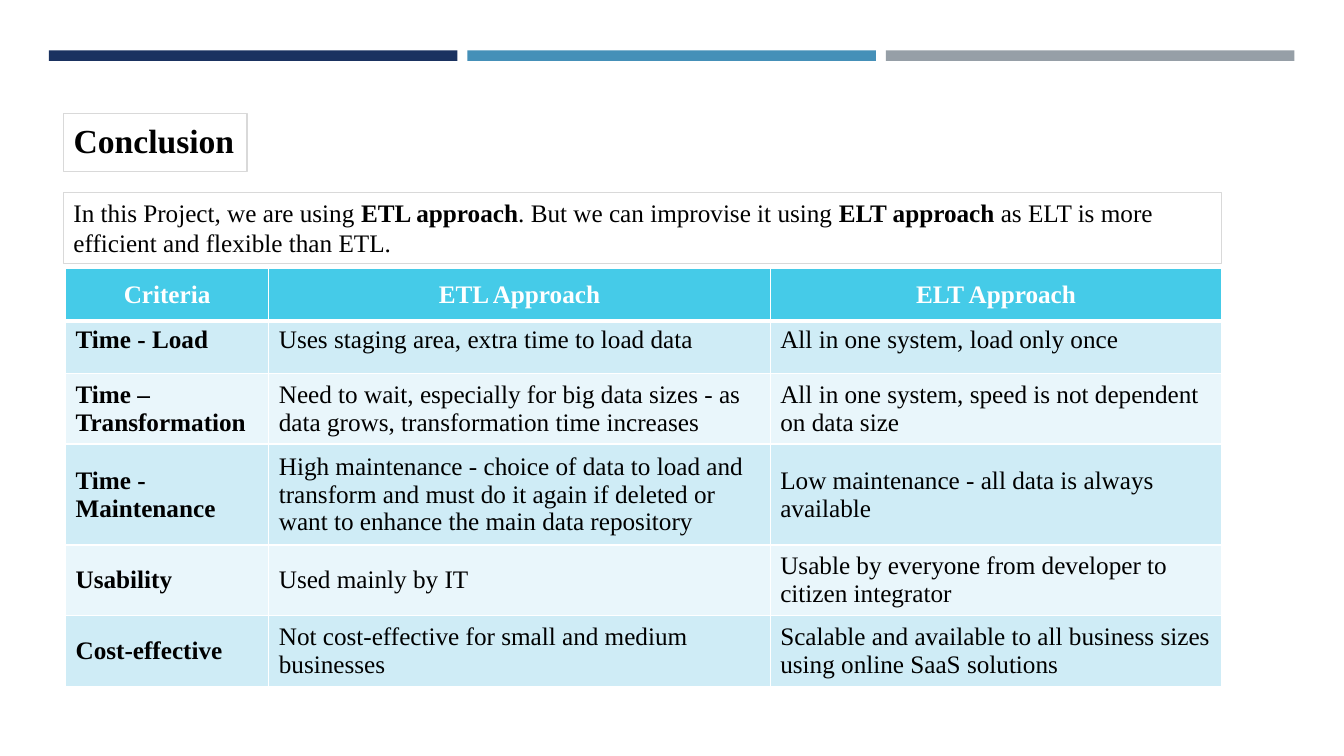
from lxml.etree import SubElement
from pptx import Presentation
from pptx.dml.color import RGBColor
from pptx.enum.shapes import MSO_SHAPE as Preset
from pptx.enum.text import MSO_ANCHOR as Anchor, MSO_AUTO_SIZE as AutoSize, PP_ALIGN as Align
from pptx.oxml.ns import qn
from pptx.util import Pt

COLORS = {
    "navy": "1A3260",
    "blue": "4590B8",
    "gray": "969FA7",
    "outline": "D9D9D9",
    "header": "45CBE8",
    "band_dark": "CFECF6",
    "band_light": "E9F6FB",
    "white": "FFFFFF",
    "black": "000000",
}
FONT = "Times New Roman"
INTRO = (
    "In this Project, we are using **ETL approach**. But we can improvise it using "
    "**ELT approach **as ELT is more efficient and flexible than ETL."
)
ROWS = [
    ("Criteria", "ETL Approach", "ELT Approach"),
    ("Time - Load", "Uses staging area, extra time to load data", "All in one system, load only once"),
    (
        "Time – Transformation",
        "Need to wait, especially for big data sizes - as data grows, transformation time increases",
        "All in one system, speed is not dependent on data size",
    ),
    (
        "Time - Maintenance",
        "High maintenance - choice of data to load and transform and must do it again "
        "if deleted or want to enhance the main data repository",
        "Low maintenance - all data is always available",
    ),
    ("Usability", "Used mainly by IT", "Usable by everyone from developer to citizen integrator"),
    (
        "Cost-effective",
        "Not cost-effective for small and medium businesses",
        "Scalable and available to all business sizes using online SaaS solutions",
    ),
]
COLUMN_WIDTHS = [145.2, 358.2, 322.6]
ROW_HEIGHT = 37.6


def rgb(name):
    return RGBColor.from_string(COLORS[name])


def write_text(frame, text, size=18, color="black", bold=False, align=Align.LEFT, line_spacing=None):
    paragraph = frame.paragraphs[0]
    paragraph.alignment = align
    paragraph.line_spacing = line_spacing
    for index, part in enumerate(text.split("**")):
        run = paragraph.add_run()
        run.text = part
        run.font.name = FONT
        run.font.size = Pt(size)
        run.font.bold = bold or index % 2 == 1
        run.font.color.rgb = rgb(color)


def place(shape, left, top, width, height):
    shape.left, shape.top, shape.width, shape.height = map(Pt, (left, top, width, height))


def outline(shape, width):
    shape.line.color.rgb = rgb("outline")
    shape.line.width = Pt(width)


def add_bars(slide, left, top, width, height, gap=7.2):
    names = ("navy", "blue", "gray")
    bar_width = (width - gap * (len(names) - 1)) / len(names)
    for index, name in enumerate(names):
        bar = slide.shapes.add_shape(Preset.RECTANGLE, 0, 0, 0, 0)
        place(bar, left + index * (bar_width + gap), top, bar_width, height)
        bar.shadow.inherit = False
        bar.fill.solid()
        bar.fill.fore_color.rgb = rgb(name)
        bar.line.fill.background()


def add_title(slide, left, top, width, height):
    title = slide.shapes.title
    place(title, left, top, width, height)
    outline(title, 1)
    frame = title.text_frame
    frame.word_wrap = True
    frame.auto_size = AutoSize.NONE
    frame.vertical_anchor = Anchor.MIDDLE
    frame.margin_right = 0
    write_text(frame, "Conclusion", size=24, bold=True, line_spacing=0.9)


def add_intro(slide, left, top, width, height):
    box = slide.shapes.add_textbox(0, 0, 0, 0)
    place(box, left, top, width, height)
    outline(box, 0.75)
    box.text_frame.word_wrap = True
    box.text_frame.auto_size = AutoSize.SHAPE_TO_FIT_TEXT
    write_text(box.text_frame, INTRO)


def set_borders(cell, bottom):
    properties = cell._tc.get_or_add_tcPr()
    for tag, width in (("a:lnL", 1), ("a:lnR", 1), ("a:lnT", 1), ("a:lnB", bottom)):
        line = SubElement(properties, qn(tag), w=str(Pt(width)))
        fill = SubElement(line, qn("a:solidFill"))
        SubElement(fill, qn("a:srgbClr"), val=COLORS["white"])


def add_comparison(slide, left, top):
    box = map(Pt, (left, top, sum(COLUMN_WIDTHS), ROW_HEIGHT * len(ROWS)))
    table = slide.shapes.add_table(len(ROWS), len(COLUMN_WIDTHS), *box).table
    for column, width in zip(table.columns, COLUMN_WIDTHS):
        column.width = Pt(width)
    for row_index, texts in enumerate(ROWS):
        table.rows[row_index].height = Pt(ROW_HEIGHT)
        header = row_index == 0
        band = "header" if header else ("band_light", "band_dark")[row_index % 2]
        for column_index, text in enumerate(texts):
            cell = table.cell(row_index, column_index)
            set_borders(cell, 3 if header else 1)
            cell.fill.solid()
            cell.fill.fore_color.rgb = rgb(band)
            cell.vertical_anchor = Anchor.TOP if row_index == 1 else Anchor.MIDDLE
            write_text(
                cell.text_frame,
                text,
                color="white" if header else "black",
                bold=header or column_index == 0,
                align=Align.CENTER if header else Align.LEFT,
            )


def build_conclusion(presentation):
    slide = presentation.slides.add_slide(presentation.slide_layouts[5])
    add_bars(slide, 35, 36, 889.6, 7.5)
    add_title(slide, 45.4, 81, 131, 41.6)
    add_intro(slide, 45.4, 137.4, 827.2, 50.9)
    add_comparison(slide, 46.8, 191.6)


def main():
    presentation = Presentation()
    presentation.slide_width = Pt(960)
    presentation.slide_height = Pt(540)
    build_conclusion(presentation)
    presentation.save("out.pptx")


if __name__ == "__main__":
    main()
